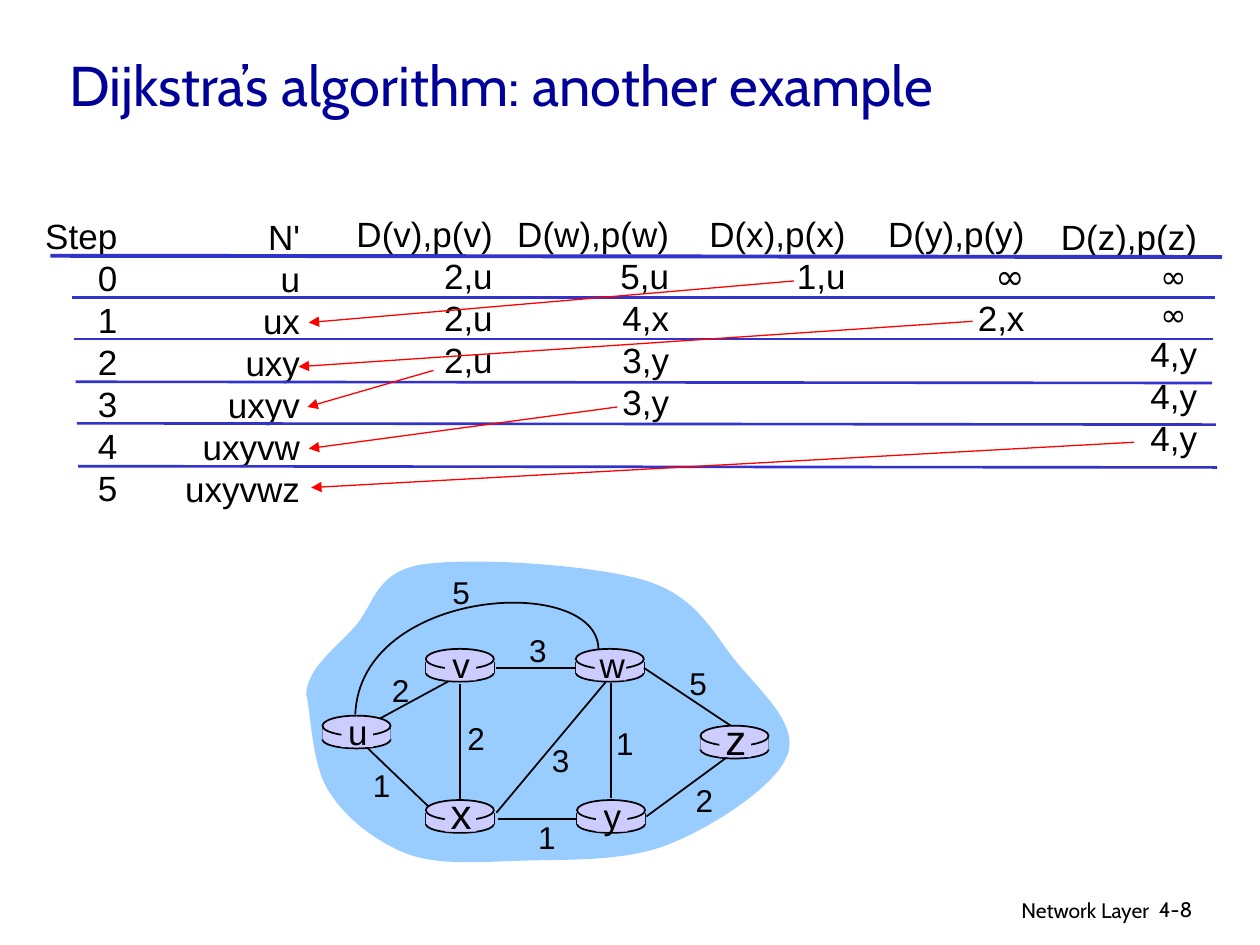
"""Builds a slide tracing Dijkstra's algorithm in a step table above its network graph."""
from typing import NamedTuple, Optional

from lxml.etree import SubElement
from pptx import Presentation
from pptx.dml.color import RGBColor
from pptx.enum.shapes import MSO_CONNECTOR as Connector, MSO_SHAPE as Preset
from pptx.enum.text import MSO_ANCHOR as Anchor, MSO_AUTO_SIZE as AutoSize, PP_ALIGN as Align
from pptx.oxml.ns import qn
from pptx.util import Cm, Pt

BLACK, NAVY, RULE_BLUE, RED = "000000", "000099", "3333CC", "FF0000"
CLOUD_BLUE, LILAC = "99CCFF", "CCCCFF"
ROUTER_WIDTH = 0.54


class Line(NamedTuple):
    x1: float
    y1: float
    x2: float
    y2: float


class Column(NamedTuple):
    left: float
    top: float
    width: float
    entries: list[str]


class Router(NamedTuple):
    name: str
    left: float
    top: float
    size: int = 20


class Weight(NamedTuple):
    text: str
    left: float
    top: float


COLUMNS = [
    Column(0.26, 1.65, 0.77, ["Step", "0", "1", "2", "3", "4", "5"]),
    Column(1.37, 1.66, 1.11, ["N'", "u", "ux", "uxy", "uxyv", "uxyvw", "uxyvwz"]),
    Column(2.73, 1.64, 1.28, ["D(v),p(v)", "2,u", "2,u", "2,u"]),
    Column(3.98, 1.64, 1.43, ["D(w),p(w)", "5,u", "4,x", "3,y", "3,y"]),
    Column(5.53, 1.64, 1.28, ["D(x),p(x)", "1,u"]),
    Column(6.95, 1.64, 1.28, ["D(y),p(y)", "∞", "2,x"]),
    Column(8.32, 1.66, 1.28, ["D(z),p(z)", "∞ ", "∞ ", "4,y", "4,y", "4,y"]),
]
HEADER_RULE = Line(0.4, 2.03, 9.7, 2.04)
ROW_RULES = [
    Line(0.57, 2.36, 9.64, 2.36), Line(0.59, 2.69, 9.63, 2.69), Line(0.6, 3.03, 9.62, 3.04),
    Line(0.61, 3.36, 9.65, 3.37), Line(0.62, 3.7, 9.66, 3.71),
]
CHOICES = [
    Line(6.3, 2.23, 2.45, 2.56), Line(7.72, 2.55, 2.37, 2.91), Line(3.44, 2.94, 2.44, 3.23),
    Line(4.9, 3.23, 2.45, 3.56), Line(9, 3.51, 2.47, 3.87),
]
ROUTERS = [
    Router("u", 2.56, 5.68), Router("x", 3.38, 6.35, 24), Router("v", 3.38, 5.15),
    Router("w", 4.57, 5.15), Router("y", 4.58, 6.35), Router("z", 5.56, 5.76, 24),
]
UV_LINK = Line(3.02, 5.7, 3.61, 5.38)
LINKS = [
    Line(4.85, 5.42, 4.85, 6.33), Line(3.65, 5.43, 3.65, 6.36), Line(3.94, 6.45, 4.81, 5.41),
    Line(5.13, 6.48, 5.77, 6.01), Line(4.58, 6.5, 3.95, 6.5), Line(3.4, 6.4, 2.92, 5.94),
    Line(4.57, 5.3, 3.94, 5.3), Line(5.8, 5.76, 5.11, 5.3),
]
WEIGHTS = [
    Weight("2", 3.01, 5.28), Weight("2", 3.61, 5.66), Weight("1", 2.86, 6.03),
    Weight("3", 4.28, 5.83), Weight("1", 4.17, 6.44), Weight("1", 4.79, 5.7),
    Weight("2", 5.42, 6.15), Weight("5", 5.37, 5.22), Weight("3", 4.1, 4.96),
    Weight("5", 3.49, 4.5),
]
CLOUD = [
    (2.43, 5.51), (2.44, 5.3), (2.66, 5.15), (2.81, 4.98), (2.97, 4.81), (2.97, 4.54),
    (3.35, 4.48), (3.74, 4.42), (4.71, 4.48), (5.13, 4.61), (5.54, 4.74), (5.66, 5.03),
    (5.85, 5.26), (6.04, 5.49), (6.34, 5.75), (6.25, 5.99), (6.16, 6.24), (5.66, 6.56),
    (5.31, 6.7), (4.96, 6.84), (4.5, 6.82), (4.16, 6.83), (3.81, 6.84), (3.5, 6.87),
    (3.24, 6.78), (2.98, 6.68), (2.74, 6.49), (2.61, 6.28), (2.47, 6.06), (2.47, 5.66),
    (2.43, 5.51),
]
UW_ARC = [(4.75, 5.15), (4.74, 4.55), (2.86, 4.66), (2.82, 5.67)]


def length(inches: float) -> Cm:
    return Cm(inches * 2.54)


def colour(code: str) -> RGBColor:
    return RGBColor.from_string(code)


def paint(shape, fill: Optional[str], line: Optional[str]) -> None:
    shape.shadow.inherit = False
    if fill:
        shape.fill.solid()
        shape.fill.fore_color.rgb = colour(fill)
    else:
        shape.fill.background()
    if line:
        shape.line.color.rgb = colour(line)
        shape.line.width = Pt(1)
    else:
        shape.line.fill.background()


def draw_shape(slide, preset, left: float, top: float, width: float, height: float,
               line: Optional[str] = None) -> None:
    shape = slide.shapes.add_shape(preset, *map(length, (left, top, width, height)))
    paint(shape, LILAC, line)


def draw_line(slide, line: Line, code: str = BLACK, width: float = 1, arrow: bool = False) -> None:
    connector = slide.shapes.add_connector(Connector.STRAIGHT, *map(length, line))
    connector.line.color.rgb = colour(code)
    connector.line.width = Pt(width)
    properties = connector._element.spPr
    if arrow:
        SubElement(properties.find(qn("a:ln")), qn("a:tailEnd"), type="triangle")
    SubElement(properties, qn("a:effectLst"))


def draw_curve(slide, points: list[tuple[float, float]], fill: Optional[str] = None,
               line: Optional[str] = None) -> None:
    outline = [tuple(map(length, point)) for point in points]
    builder = slide.shapes.build_freeform(*outline[0])
    builder.add_line_segments(outline[1:], close=fill is not None)
    shape = builder.convert_to_shape()
    segments = list(shape._element.iter(qn("a:lnTo")))
    for first, second, third in zip(*[iter(segments)] * 3):
        curve = first.makeelement(qn("a:cubicBezTo"))
        first.addprevious(curve)
        for segment in (first, second, third):
            curve.append(segment[0])
            segment.getparent().remove(segment)
    paint(shape, fill, line)


def draw_text(slide, entries: list[str], left: float, top: float, width: float, height: float,
              size: int, align=Align.LEFT, font: str = "Arial", code: str = BLACK,
              wrap: bool = False, anchor=Anchor.TOP) -> None:
    frame = slide.shapes.add_textbox(*map(length, (left, top, width, height))).text_frame
    frame.word_wrap = wrap
    frame.auto_size = AutoSize.NONE if wrap else AutoSize.SHAPE_TO_FIT_TEXT
    frame.vertical_anchor = anchor
    for index, entry in enumerate(entries):
        paragraph = frame.add_paragraph() if index else frame.paragraphs[0]
        paragraph.alignment = align
        run = paragraph.add_run()
        run.text = entry
        run.font.name = "Comic Neue" if "∞" in entry else font
        run.font.size = Pt(18 if entry == "∞ " else size)
        run.font.color.rgb = colour(code)


def draw_router(slide, router: Router) -> None:
    left, top = router.left, router.top
    draw_shape(slide, Preset.OVAL, left, top + 0.12, ROUTER_WIDTH, 0.14, BLACK)
    for side in (left, left + ROUTER_WIDTH):
        draw_line(slide, Line(side, top + 0.1, side, top + 0.19))
    draw_shape(slide, Preset.RECTANGLE, left, top + 0.1, ROUTER_WIDTH, 0.09)
    draw_shape(slide, Preset.OVAL, left, top, ROUTER_WIDTH, 0.16, BLACK)


def draw_router_name(slide, router: Router) -> None:
    height, rise = (0.5, 0.15) if router.size == 24 else (0.43, 0.09)
    draw_shape(slide, Preset.RECTANGLE, router.left + 0.15, router.top + 0.02, 0.25, 0.23)
    draw_text(slide, [router.name], router.left + 0.09, router.top - rise, 0.38, height,
              router.size, Align.CENTER)


def main() -> None:
    presentation = Presentation()
    presentation.slide_width, presentation.slide_height = length(10), length(7.5)
    slide = presentation.slides.add_slide(presentation.slide_layouts[6])
    draw_text(slide, ["Network Layer"], 6.05, 7.07, 3.17, 0.31, 12, Align.RIGHT, "Cabin", wrap=True)
    draw_text(slide, ["4-8"], 9.1, 7.07, 0.74, 0.3, 12, font="Cabin", wrap=True)
    draw_text(slide, ["Dijkstra’s algorithm: another example"], 0.45, 0.14, 9.15, 1.05, 32,
              font="Cabin", code=NAVY, wrap=True, anchor=Anchor.MIDDLE)
    for column in COLUMNS:
        height = 0.1 + len(column.entries) / 3
        draw_text(slide, column.entries, column.left, column.top, column.width, height, 20, Align.RIGHT)
    draw_line(slide, HEADER_RULE, RULE_BLUE, 2.25)
    for rule in ROW_RULES:
        draw_line(slide, rule, RULE_BLUE, 1.5)
    draw_curve(slide, CLOUD, fill=CLOUD_BLUE)
    draw_line(slide, UV_LINK)
    for router in ROUTERS:
        draw_router(slide, router)
    for link in LINKS:
        draw_line(slide, link)
    draw_curve(slide, UW_ARC, line=BLACK)
    for router in ROUTERS:
        draw_router_name(slide, router)
    for weight in WEIGHTS:
        draw_text(slide, [weight.text], weight.left, weight.top, 0.34, 0.4, 18, Align.CENTER)
    for choice in CHOICES:
        draw_line(slide, choice, RED, 0.75, arrow=True)
    presentation.save("out.pptx")


if __name__ == "__main__":
    main()
